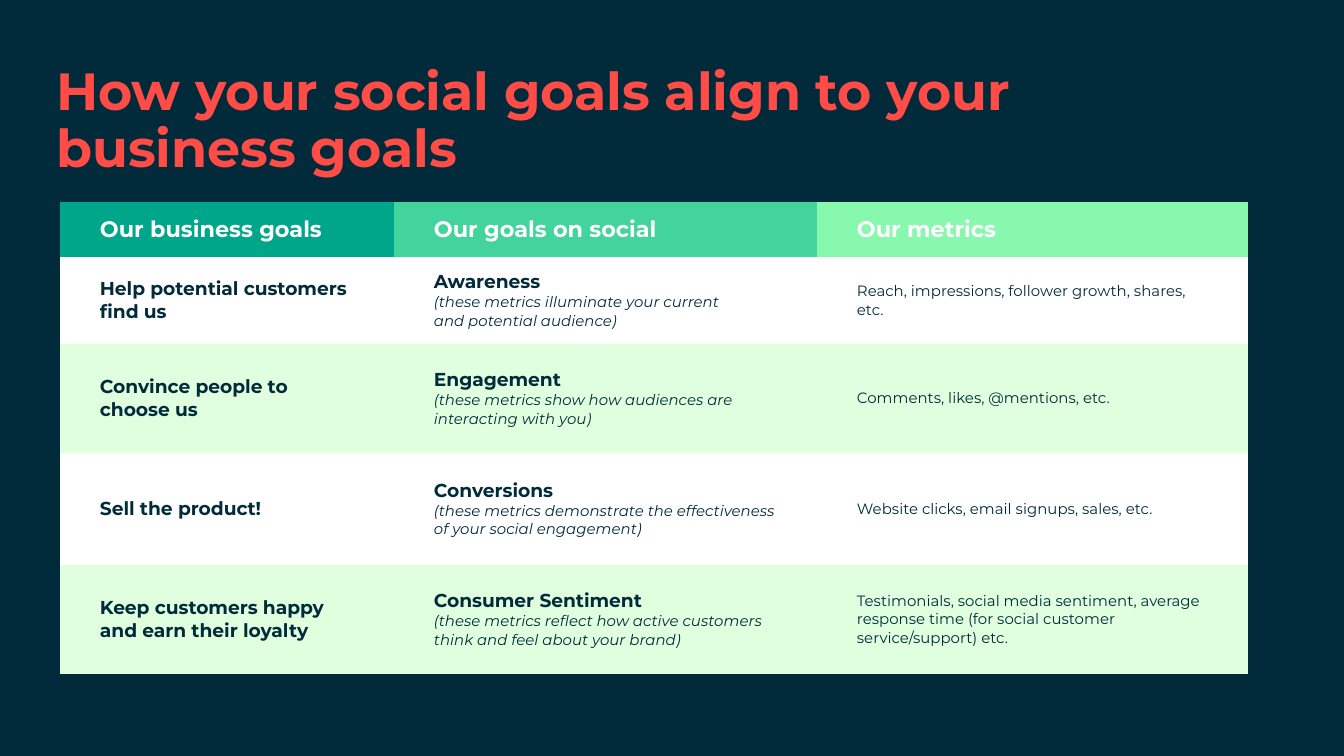
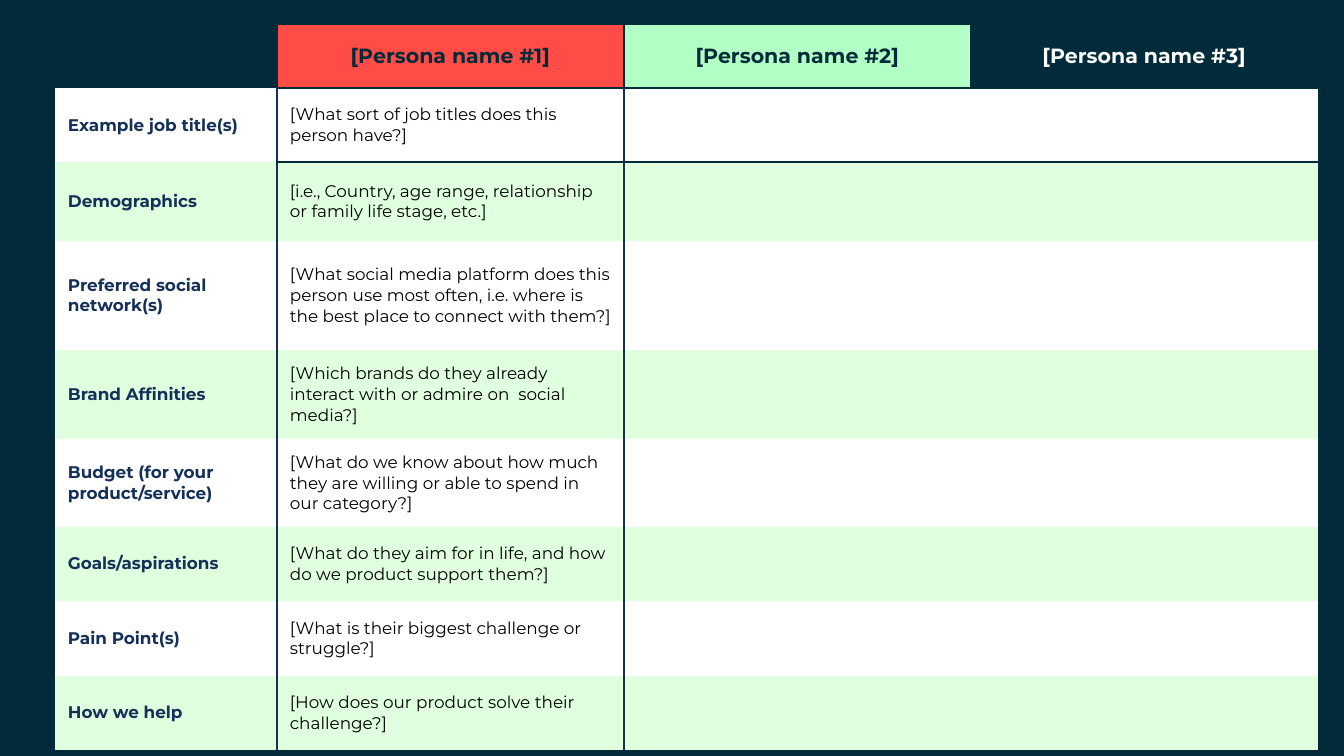
import copy
import pptx
import pptx.dml.color
import pptx.enum.text
import pptx.oxml
import pptx.oxml.ns
import pptx.util
from dataclasses import dataclass


@dataclass(frozen=True)
class Theme:
    font: str = "Montserrat"
    dark: str = "012B3A"
    navy: str = "143059"
    black: str = "000000"
    white: str = "FFFFFF"
    red: str = "FF4C46"
    teal: str = "00A68A"
    green: str = "42D49C"
    lime: str = "87F8AE"
    mint: str = "B2FFC6"
    pale: str = "DFFFDE"
    title: int = 28
    head: int = 12
    goal: int = 10
    note: int = 8
    name: int = 11
    body: int = 9


look = Theme()
px = 914400 / 134.4  # EMU in one px
tint = pptx.dml.color.RGBColor.from_string
middle = pptx.enum.text.MSO_ANCHOR.MIDDLE
center = pptx.enum.text.PP_ALIGN.CENTER
plain = "{2D5ABB26-0587-4C30-8999-92F81FD0307C}"  # table style without grid


def write(par, runs):
    """Add runs of (text, size, colour, bold, italic); a newline breaks the line."""
    for text, size, color, bold, slant in runs:
        for num, part in enumerate(text.split("\n")):
            if num:
                par.add_line_break()
                par._p[-1].append(copy.deepcopy(run._r.rPr))
            if not part:
                continue
            run = par.add_run()
            run.text = part
            font = run.font
            font.name = look.font
            font.size = pptx.util.Pt(size)
            font.bold = bold
            font.italic = slant
            font.color.rgb = tint(color)


def grid(page, left, top, wide, tall, pad, cells):
    """Add a table from rows of (fill, runs)."""
    frame = page.shapes.add_table(
        len(tall), len(wide), round(left * px), round(top * px),
        round(sum(wide) * px), round(sum(tall) * px))
    table = frame.table
    table.first_row = False
    table.horz_banding = False
    table._tbl.tblPr.find(pptx.oxml.ns.qn("a:tableStyleId")).text = plain
    for col, size in zip(table.columns, wide):
        col.width = round(size * px)
    for row, size, line in zip(table.rows, tall, cells):
        row.height = round(size * px)
        for cell, (fill, runs) in zip(row.cells, line):
            cell.fill.solid()
            cell.fill.fore_color.rgb = tint(fill)
            if runs:
                cell.vertical_anchor = middle
                cell.margin_left = cell.margin_right = round(pad * px)
                cell.margin_top = cell.margin_bottom = pptx.util.Inches(0.1)
                write(cell.text_frame.paragraphs[0], runs)
    return table


# Deck with two dark slides
deck = pptx.Presentation()
deck.slide_width = round(1344 * px)
deck.slide_height = round(756 * px)
pages = []
for _ in range(2):
    page = deck.slides.add_slide(deck.slide_layouts[6])
    page.background.fill.solid()
    page.background.fill.fore_color.rgb = tint(look.dark)
    pages.append(page)
goals, people = pages
bands = [look.white, look.pale]

# Slide 1: title
box = goals.shapes.add_textbox(
    round(43 * px), round(52 * px), round(1205 * px), round(93 * px))
text = box.text_frame
text.word_wrap = True
text.margin_left = text.margin_right = pptx.util.Inches(0.1)
text.margin_top = text.margin_bottom = pptx.util.Inches(0.1)
text.paragraphs[0].line_spacing = 0.9
write(text.paragraphs[0], [
    ("How your social goals align to your business goals",
     look.title, look.red, True, False)])

# Slide 1: goals table
heads = [("Our business goals", look.teal),
         ("Our goals on social", look.green),
         ("Our metrics", look.lime)]
aims = [
    ("Help potential customers find us", "Awareness\n",
     "(these metrics illuminate your current \nand potential audience)",
     "Reach, impressions, follower growth, shares, etc."),
    ("Convince people to choose us", "Engagement \n",
     "(these metrics show how audiences are interacting with you)",
     "Comments, likes, @mentions, etc."),
    ("Sell the product!", "Conversions \n",
     "(these metrics demonstrate the effectiveness of your social engagement)",
     "Website clicks, email signups, sales, etc."),
    ("Keep customers happy and earn their loyalty", "Consumer Sentiment \n",
     "(these metrics reflect how active customers think and feel about your brand)",
     "Testimonials, social media sentiment, average response time "
     "(for social customer service/support) etc."),
]
cells = [[(fill, [(head, look.head, look.white, True, False)])
          for head, fill in heads]]
for num, (aim, topic, note, metric) in enumerate(aims):
    fill = bands[num % 2]
    cells.append([
        (fill, [(aim, look.goal, look.dark, True, False)]),
        (fill, [(topic, look.goal, look.dark, True, False),
                (note, look.note, look.dark, False, True)]),
        (fill, [(metric, look.note, look.dark, False, False)]),
    ])
grid(goals, 60, 202, [334, 423, 431], [55, 87, 109, 112, 109], 40, cells)

# Slide 2: persona table
names = [("[Persona name #1]", look.red, look.dark),
         ("[Persona name #2]", look.mint, look.dark),
         ("[Persona name #3]", look.dark, look.white)]
traits = [
    ("Example job title(s)", "[What sort of job titles does this person have?]"),
    ("Demographics",
     "[i.e., Country, age range, relationship or family life stage, etc.]"),
    ("Preferred social network(s)",
     "[What social media platform does this person use most often, "
     "i.e. where is the best place to connect with them?]"),
    ("Brand Affinities",
     "[Which brands do they already interact with or admire on  social media?]"),
    ("Budget (for your product/service)",
     "[What do we know about how much they are willing or able to spend "
     "in our category?]"),
    ("Goals/aspirations",
     "[What do they aim for in life, and how do we product support them?]"),
    ("Pain Point(s)", "[What is their biggest challenge or struggle?]"),
    ("How we help", "[How does our product solve their challenge?]"),
]
cells = [[(look.dark, [])] + [
    (fill, [(name, look.name, color, True, False)])
    for name, fill, color in names]]
for num, (trait, hint) in enumerate(traits):
    fill = bands[num % 2]
    cells.append([
        (fill, [(trait, look.body, look.navy, True, False)]),
        (fill, [(hint, look.body, look.black, False, False)]),
        (fill, []),
        (fill, []),
    ])
table = grid(people, 55, 24, [222, 347, 347, 347],
             [64, 74, 79, 109, 89, 88, 74, 75, 74], 13, cells)

# Slide 2: centred names and cell borders
for y in range(len(cells)):
    for x in range(4):
        cell = table.cell(y, x)
        edges = {}
        if y == 0:
            edges = dict.fromkeys("LRTB" if x else "R", look.dark)
            cell.text_frame.paragraphs[0].alignment = center
        elif x < 2:
            edges["RL"[x]] = look.navy
        if y == 1 and x:
            edges["T"] = look.dark
        props = cell._tc.get_or_add_tcPr()
        for spot, (side, color) in enumerate(edges.items()):
            props.insert(spot, pptx.oxml.parse_xml(
                f'<a:ln{side} {pptx.oxml.ns.nsdecls("a")} w="9525"><a:solidFill>'
                f'<a:srgbClr val="{color}"/></a:solidFill></a:ln{side}>'))

deck.save("out.pptx")
